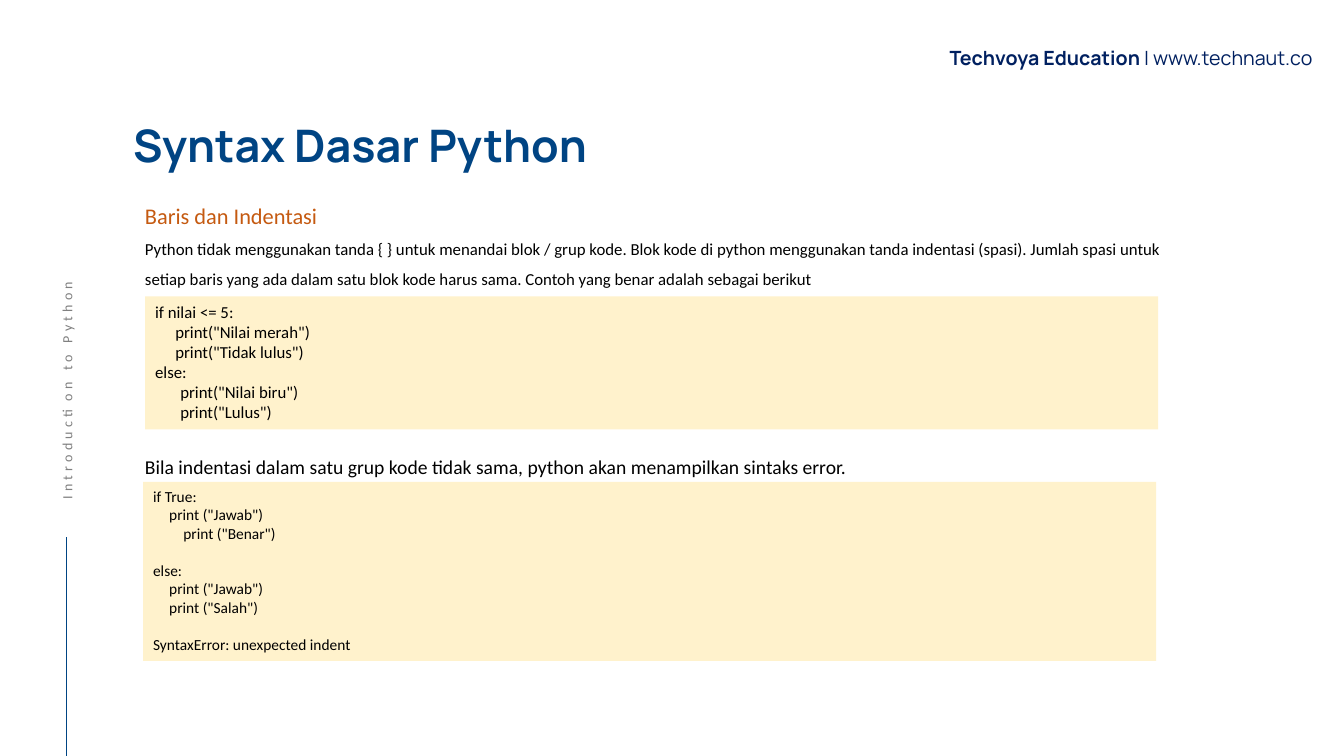
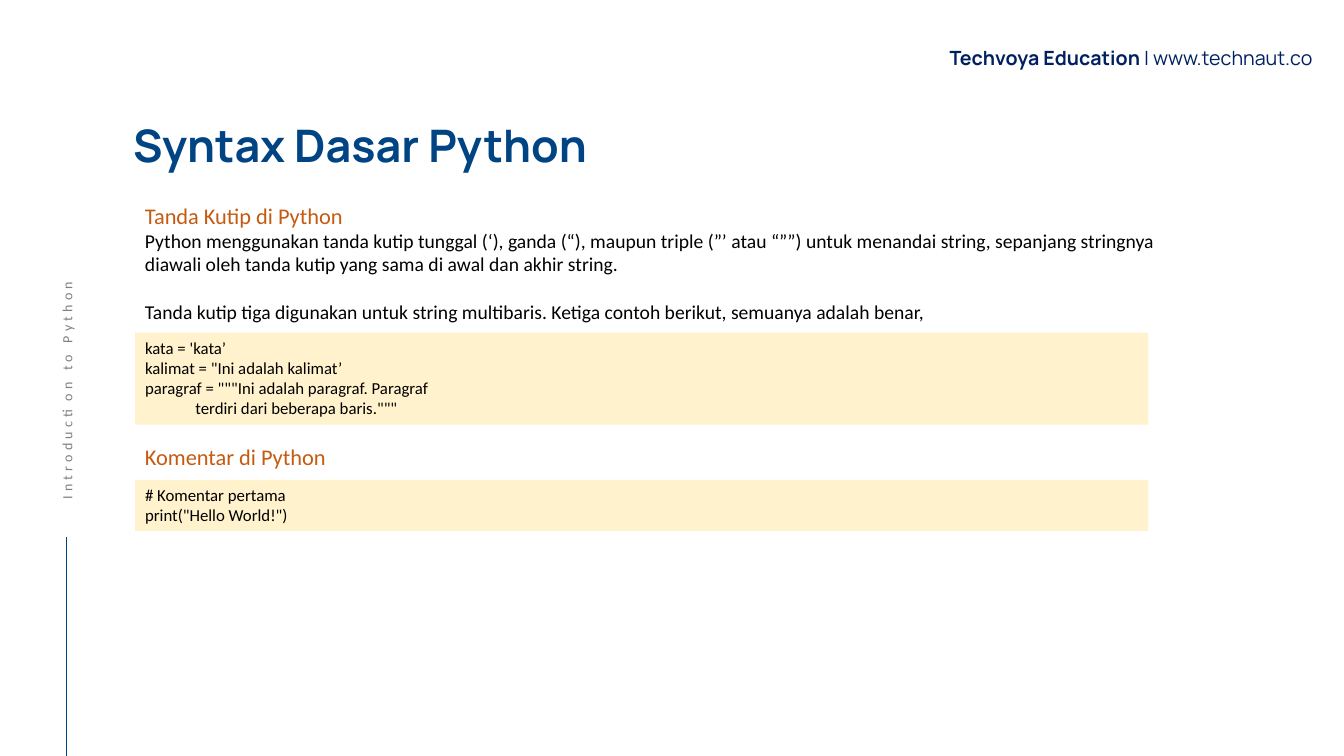
"""Build two slides on the basic syntax of Python."""
from dataclasses import dataclass

from lxml import etree
from pptx import Presentation
from pptx import util as u
from pptx.dml.color import RGBColor
from pptx.enum import shapes, text
from pptx.oxml import ns

CELL = u.Inches(0.1)
COLS, ROWS = 133.33, 75
NAVY, BLUE, RUST = "002060", "004483", "C55A11"
GREY, BLACK, CREAM = "808080", "000000", "FFF2CC"
HEAD, BODY = "Manrope", "Calibri"
LINE = 1.22
WIDE = 100.5


@dataclass
class Para:
    text: str
    size: float = 12
    color: str = BLACK
    lead: float = 1
    gap: float = 0
    dent: float = 0


@dataclass
class Code:
    col: float
    row: float
    size: float
    lines: list[Para]


@dataclass
class Page:
    paras: list[Para]
    codes: list[Code]


def cells(num: float) -> int:
    return round(num * CELL)


def tint(code: str) -> RGBColor:
    return RGBColor.from_string(code)


def style(font, face: str, size: float, color: str, bold: bool = False) -> None:
    font.name, font.size, font.bold = face, u.Pt(size), bold
    font.color.rgb = tint(color)


def add_box(slide, col: float, row: float, wide: float, high: float):
    box = slide.shapes.add_textbox(*map(cells, (col, row, wide, high)))
    box.text_frame.word_wrap = True
    return box


def write(frame, paras: list[Para]) -> None:
    frame.text = "\n".join(item.text for item in paras)
    for para, item in zip(frame.paragraphs, paras):
        para.alignment = text.PP_ALIGN.LEFT
        para.line_spacing = item.lead
        para.space_before = u.Pt(item.gap * item.size * LINE)
        if item.dent:
            para._p.get_or_add_pPr().set("marL", str(cells(item.dent)))
        for run in para.runs:
            style(run.font, BODY, item.size, item.color)


def add_code(slide, code: Code) -> None:
    count = sum(1 + item.gap for item in code.lines)
    high = count * code.size * LINE / 7.2 + 1
    place = map(cells, (code.col, code.row, WIDE, high))
    panel = slide.shapes.add_shape(shapes.MSO_SHAPE.RECTANGLE, *place)
    panel.shadow.inherit = False
    panel.fill.solid()
    panel.fill.fore_color.rgb = tint(CREAM)
    panel.line.fill.background()
    frame = panel.text_frame
    frame.word_wrap = True
    frame.vertical_anchor = text.MSO_ANCHOR.TOP
    for item in code.lines:
        item.size = code.size
    write(frame, code.lines)


def add_frame(slide) -> None:
    para = add_box(slide, 75.1, 4.1, 56.1, 3.4).text_frame.paragraphs[0]
    para.alignment = text.PP_ALIGN.RIGHT
    for part, bold in (("Techvoya Education ", True), ("| www.technaut.co", False)):
        run = para.add_run()
        run.text = part
        style(run.font, HEAD, 14, NAVY, bold)

    side = add_box(slide, -16.1, 26.4, 45.5, 2.7)
    side.rotation = 270
    write(side.text_frame, [Para("Introduction to Python", 10, GREY)])
    run = side.text_frame.paragraphs[0].runs[0]
    run._r.get_or_add_rPr().set("spc", "300")

    ends = map(cells, (6.6, 53.3, 6.6, ROWS))
    rule = slide.shapes.add_connector(shapes.MSO_CONNECTOR.STRAIGHT, *ends)
    rule.line.color.rgb = tint(BLUE)
    rule.line.width = u.Pt(0.5)
    etree.SubElement(rule._element.spPr, ns.qn("a:effectLst"))


def add_title(slide, name: str) -> None:
    title = slide.shapes.title
    title.left, title.top, title.width, title.height = map(
        cells, (12.2, 9.5, 89.5, 10.4))
    frame = title.text_frame
    frame.text = name
    frame.word_wrap = True
    frame.auto_size = text.MSO_AUTO_SIZE.NONE
    frame.vertical_anchor = text.MSO_ANCHOR.MIDDLE
    para = frame.paragraphs[0]
    para.alignment = text.PP_ALIGN.LEFT
    para.line_spacing = 0.9
    style(para.runs[0].font, HEAD, 32, BLUE, True)


PAGES = [
    Page(
        [
            Para("Baris dan Indentasi", 16, RUST, 1.5),
            Para("Python tidak menggunakan tanda { } untuk menandai blok / grup kode. "
                 "Blok kode di python menggunakan tanda indentasi (spasi). Jumlah spasi "
                 "untuk setiap baris yang ada dalam satu blok kode harus sama. Contoh "
                 "yang benar adalah sebagai berikut", lead=1.5),
            Para("Bila indentasi dalam satu grup kode tidak sama, python akan "
                 "menampilkan sintaks error.", 14, lead=1.5, gap=6.43),
        ],
        [
            Code(14.4, 29.4, 12, [
                Para("if nilai <= 5:"),
                Para('print("Nilai merah")', dent=2),
                Para('print("Tidak lulus")', dent=2),
                Para("else:"),
                Para('print("Nilai biru")', dent=2.5),
                Para('print("Lulus")', dent=2.5),
            ]),
            Code(14.2, 47.8, 11, [
                Para("if True:"),
                Para('print ("Jawab")', dent=1.6),
                Para('print ("Benar")', dent=3),
                Para("else:", gap=1),
                Para('print ("Jawab")', dent=1.6),
                Para('print ("Salah")', dent=1.6),
                Para("SyntaxError: unexpected indent", gap=1),
            ]),
        ],
    ),
    Page(
        [
            Para("Tanda Kutip di Python", 16, RUST, 1.5),
            Para("Python menggunakan tanda kutip tunggal (‘), ganda (“), maupun triple "
                 "(”’ atau “””) untuk menandai string, sepanjang stringnya diawali oleh "
                 "tanda kutip yang sama di awal dan akhir string.", 14),
            Para("Tanda kutip tiga digunakan untuk string multibaris. Ketiga contoh "
                 "berikut, semuanya adalah benar,", 14, gap=1),
            Para("Komentar di Python", 16, RUST, gap=4.38),
        ],
        [
            Code(13.4, 33, 12, [
                Para("kata = 'kata’"),
                Para('kalimat = "Ini adalah kalimat’'),
                Para('paragraf = """Ini adalah paragraf. Paragraf'),
                Para('terdiri dari beberapa baris."""', dent=5),
            ]),
            Code(13.4, 47.6, 12, [
                Para("# Komentar pertama"),
                Para('print("Hello World!")'),
            ]),
        ],
    ),
]


def main() -> None:
    deck = Presentation()
    deck.slide_width, deck.slide_height = cells(COLS), cells(ROWS)
    for page in PAGES:
        slide = deck.slides.add_slide(deck.slide_layouts[5])
        add_frame(slide)
        add_title(slide, "Syntax Dasar Python")
        body = add_box(slide, 13.4, 18.2, 104, 37.4)
        write(body.text_frame, page.paras)
        for code in page.codes:
            add_code(slide, code)
    deck.save("out.pptx")


if __name__ == "__main__":
    main()
